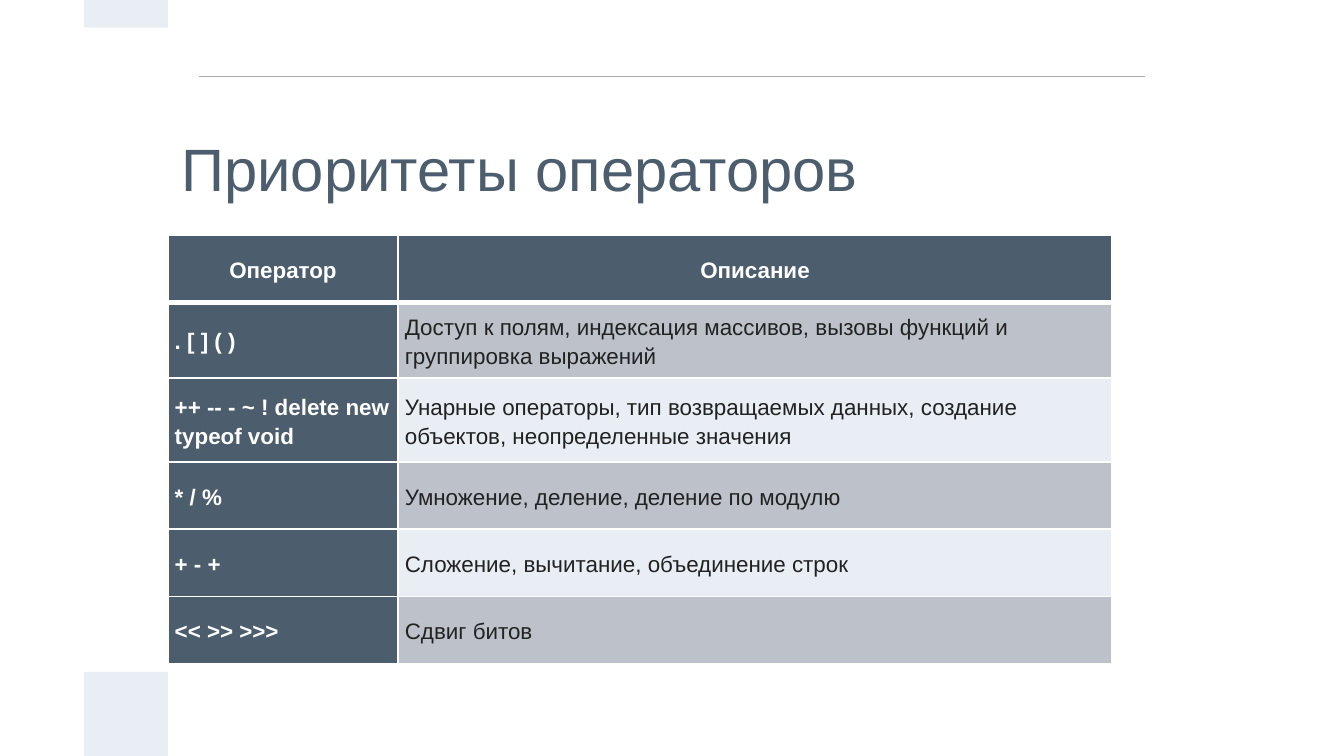
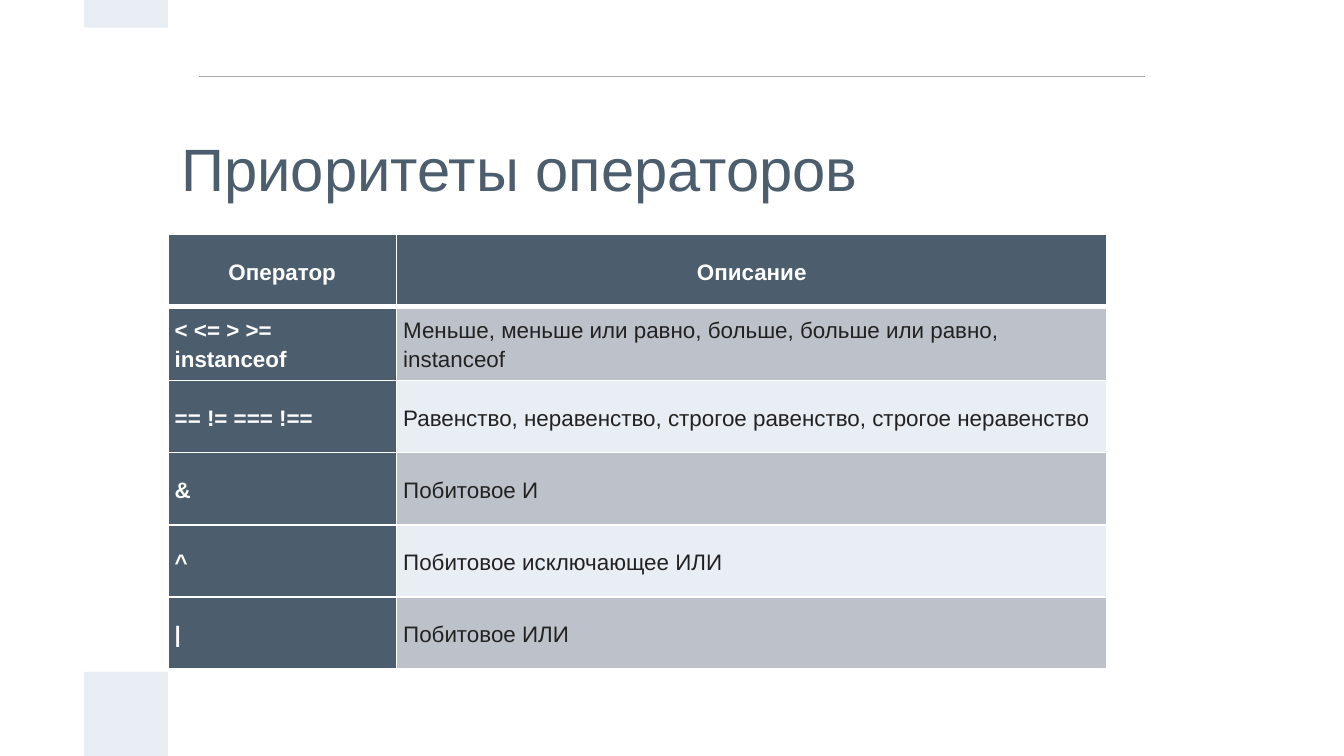
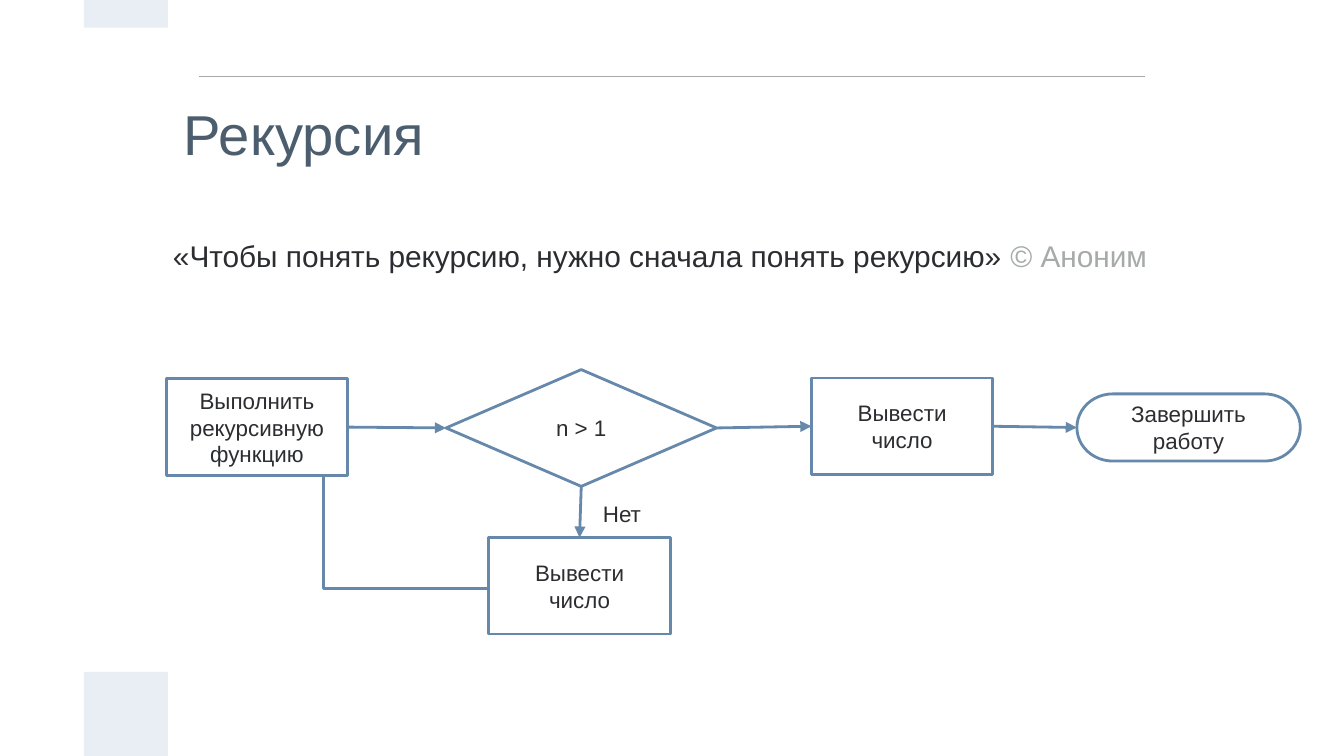
from collections import namedtuple

from lxml.etree import SubElement
from pptx import Presentation
from pptx.dml.color import RGBColor
from pptx.enum.shapes import MSO_CONNECTOR, MSO_SHAPE
from pptx.enum.text import MSO_ANCHOR, MSO_AUTO_SIZE, PP_ALIGN
from pptx.oxml.ns import qn
from pptx.util import Inches, Pt

# The slide is a grid of 16 columns by 9 rows of square cells.
UNIT = 0.625
COLUMNS, ROWS = 16, 9
FONT = "Arial"
SLATE, PALE, SILVER, STEEL = "4C5D6E", "E9EDF4", "BDC2CA", "6588AB"
GRAY, INK, DARK, WHITE = "A6AAA9", "2C2D30", "222222", "FFFFFF"

Box = namedtuple("Box", "left top width height")

TITLE_BOX = Box(2, 1, 12, 2)
SLIM_TITLE_BOX = Box(1.98, 1, 14, 1.17)
QUOTE_BOX = Box(1.98, 2.22, 12, 1.65)
FLOW_BOX = Box(1.98, 4.4, 13.5, 3.2)

OPERATORS_TITLE = "Приоритеты операторов"
TABLE_HEADER = ("Оператор", "Описание")
ARITHMETIC = [
    (". [ ] ( )", "Доступ к полям, индексация массивов, вызовы функций и группировка выражений"),
    ("++ -- - ~ ! delete new typeof void",
     "Унарные операторы, тип возвращаемых данных, создание объектов, неопределенные значения"),
    ("* / %", "Умножение, деление, деление по модулю"),
    ("+ - +", "Сложение, вычитание, объединение строк"),
    ("<< >> >>>", "Сдвиг битов"),
]
COMPARISON = [
    ("< <= > >= instanceof", "Меньше, меньше или равно, больше, больше или равно, instanceof"),
    ("== != === !==", "Равенство, неравенство, строгое равенство, строгое неравенство"),
    ("&", "Побитовое И"),
    ("^", "Побитовое исключающее ИЛИ"),
    ("|", "Побитовое ИЛИ"),
]


def grid(cells):
    return Inches(cells * UNIT)


def place(box):
    return [grid(side) for side in box]


def within(region, left, top, width=0, height=0):
    return Box(region.left + left, region.top + top, width, height)


def color(value):
    return RGBColor.from_string(value)


def set_all(target, values):
    for name, value in values.items():
        setattr(target, name, value)


def margins(horizontal, vertical):
    """Return the four inner margins, in inches, as format values."""
    return {"margin_left": Inches(horizontal), "margin_right": Inches(horizontal),
            "margin_top": Inches(vertical), "margin_bottom": Inches(vertical)}


def write(frame, spans, size, align=PP_ALIGN.LEFT, bold=False, spacing=None):
    """Fill a text frame with one paragraph made of (text, color) spans."""
    para = frame.paragraphs[0]
    set_all(para, {"alignment": align, "line_spacing": spacing})
    for text, tint in spans:
        span = para.add_run()
        span.text = text
        set_all(span.font, {"name": FONT, "size": Pt(size), "bold": bold})
        span.font.color.rgb = color(tint)


def format_frame(frame, inset, anchor=MSO_ANCHOR.MIDDLE):
    set_all(frame, {"word_wrap": True, "auto_size": MSO_AUTO_SIZE.NONE,
                    "vertical_anchor": anchor, **margins(*inset)})


def add_text(page, box, spans, size, inset, anchor=MSO_ANCHOR.MIDDLE):
    frame = page.shapes.add_textbox(*place(box)).text_frame
    format_frame(frame, inset, anchor)
    write(frame, spans, size)


def add_block(page, kind, box, fill, line=None):
    block = page.shapes.add_shape(kind, *place(box))
    block.shadow.inherit = False
    block.fill.solid()
    block.fill.fore_color.rgb = color(fill)
    if line:
        block.line.color.rgb = color(line)
        block.line.width = Pt(1.5)
    else:
        block.line.fill.background()
    return block


def add_line(page, kind, start, end, tint, width):
    points = [grid(value) for value in (*start, *end)]
    line = page.shapes.add_connector(kind, *points)
    line.line.color.rgb = color(tint)
    line.line.width = Pt(width)
    SubElement(line._element.spPr, qn("a:effectLst"))
    return line


def add_arrow(page, source, source_side, target, target_side):
    arrow = add_line(page, MSO_CONNECTOR.STRAIGHT, (0, 0), (1, 1), STEEL, 1.5)
    arrow.begin_connect(source, source_side)
    arrow.end_connect(target, target_side)
    SubElement(arrow.line._get_or_add_ln(), qn("a:tailEnd"), type="triangle")


def add_page(deck, title, box, size, inset):
    """Add a slide with the shared rule, bands and title."""
    page = deck.slides.add_slide(deck.slide_layouts[5])
    add_line(page, MSO_CONNECTOR.STRAIGHT, (2.37, 0.91), (13.63, 0.91), GRAY, 0.75)
    for top, height in ((8, 1), (0, 0.33)):
        add_block(page, MSO_SHAPE.RECTANGLE, Box(1, top, 1, height), PALE)
    heading = page.shapes.title
    set_all(heading, dict(zip(Box._fields, place(box))))
    format_frame(heading.text_frame, inset)
    write(heading.text_frame, [(title, SLATE)], size)
    return page


def set_borders(cell, bottom):
    properties = cell._tc.get_or_add_tcPr()
    widths = {"a:lnL": 1, "a:lnR": 1, "a:lnT": 1, "a:lnB": bottom}
    for position, (tag, width) in enumerate(widths.items()):
        border = properties.makeelement(qn(tag), {"w": str(Pt(width))})
        fill = SubElement(border, qn("a:solidFill"))
        SubElement(fill, qn("a:srgbClr"), val=WHITE)
        properties.insert(position, border)


def add_operator_table(page, top, widths, heights, entries):
    records = [TABLE_HEADER, *entries]
    box = Box(2, top, sum(widths), sum(heights))
    table = page.shapes.add_table(len(records), len(widths), *place(box)).table
    set_all(table, {"first_row": False, "horz_banding": False})
    for column, width in zip(table.columns, widths):
        column.width = grid(width)
    for row_number, (record, height) in enumerate(zip(records, heights)):
        table.rows[row_number].height = grid(height)
        header = row_number == 0
        for column_number, text in enumerate(record):
            strong = header or column_number == 0
            stripe = SILVER if row_number % 2 else PALE
            cell = table.cell(row_number, column_number)
            set_all(cell, {"vertical_anchor": MSO_ANCHOR.MIDDLE, **margins(0.05, 0.06)})
            cell.fill.solid()
            cell.fill.fore_color.rgb = color(SLATE if strong else stripe)
            set_borders(cell, bottom=3 if header else 1)
            write(cell.text_frame, [(text, WHITE if strong else DARK)], 12,
                  PP_ALIGN.CENTER if header else PP_ALIGN.LEFT, strong, 1.15)


def add_operators_page(deck, *table_parts):
    page = add_page(deck, OPERATORS_TITLE, TITLE_BOX, 32, (0.1, 0.1))
    add_operator_table(page, *table_parts)


def add_node(page, kind, box, text):
    node = add_block(page, kind, box, WHITE, STEEL)
    format_frame(node.text_frame, (0.1, 0.05))
    write(node.text_frame, [(text, INK)], 12, PP_ALIGN.CENTER)
    return node


def add_return_path(page, region):
    """Draw the elbow that leads from the lower step back to the call."""
    start, end = within(region, 3.84, 2.61), within(region, 1.6, 0.62)
    elbow = add_line(page, MSO_CONNECTOR.ELBOW, start[:2], end[:2], STEEL, 1.5)
    guides = elbow._element.spPr.find(qn("a:prstGeom")).get_or_add_avLst()
    SubElement(guides, qn("a:gd"), name="adj1", fmla="val 87700")


def add_flowchart(page, region):
    step = (2.16, 1.15)
    add_return_path(page, region)
    call = add_node(page, MSO_SHAPE.RECTANGLE, within(region, 0, 0.11, *step),
                    "Выполнить рекурсивную функцию")
    check = add_node(page, MSO_SHAPE.FLOWCHART_DECISION,
                     within(region, 3.33, 0, 3.22, 1.39), "n > 1")
    lower, right = [
        add_node(page, MSO_SHAPE.RECTANGLE, within(region, *corner, *step), "Вывести число")
        for corner in ((3.84, 2), (7.68, 0.1))]
    finish = add_node(page, MSO_SHAPE.FLOWCHART_TERMINATOR,
                      within(region, 10.84, 0.29, 2.66, 0.8), "Завершить работу")
    for source, target in ((call, check), (check, right), (right, finish)):
        add_arrow(page, source, 3, target, 1)
    add_arrow(page, check, 2, lower, 0)
    add_text(page, within(region, 5.04, 1.47, 1.06, 0.59), [("Нет", INK)], 12,
             (0.1, 0.05), MSO_ANCHOR.TOP)


def add_recursion_page(deck):
    page = add_page(deck, "Рекурсия", SLIM_TITLE_BOX, 30.1, (0.13, 0.13))
    add_flowchart(page, FLOW_BOX)
    quote = [("«Чтобы понять рекурсию, нужно сначала понять рекурсию» ", INK),
             ("© Аноним", GRAY)]
    add_text(page, QUOTE_BOX, quote, 16, (0.05, 0.05))


def main():
    deck = Presentation()
    set_all(deck, {"slide_width": grid(COLUMNS), "slide_height": grid(ROWS)})
    add_operators_page(deck, 2.8, (2.74, 8.5), (0.8, 0.9, 1, 0.8, 0.8, 0.8), ARITHMETIC)
    add_operators_page(deck, 2.79, (2.72, 8.46), [0.86] * 6, COMPARISON)
    add_recursion_page(deck)
    deck.save("out.pptx")


if __name__ == "__main__":
    main()
